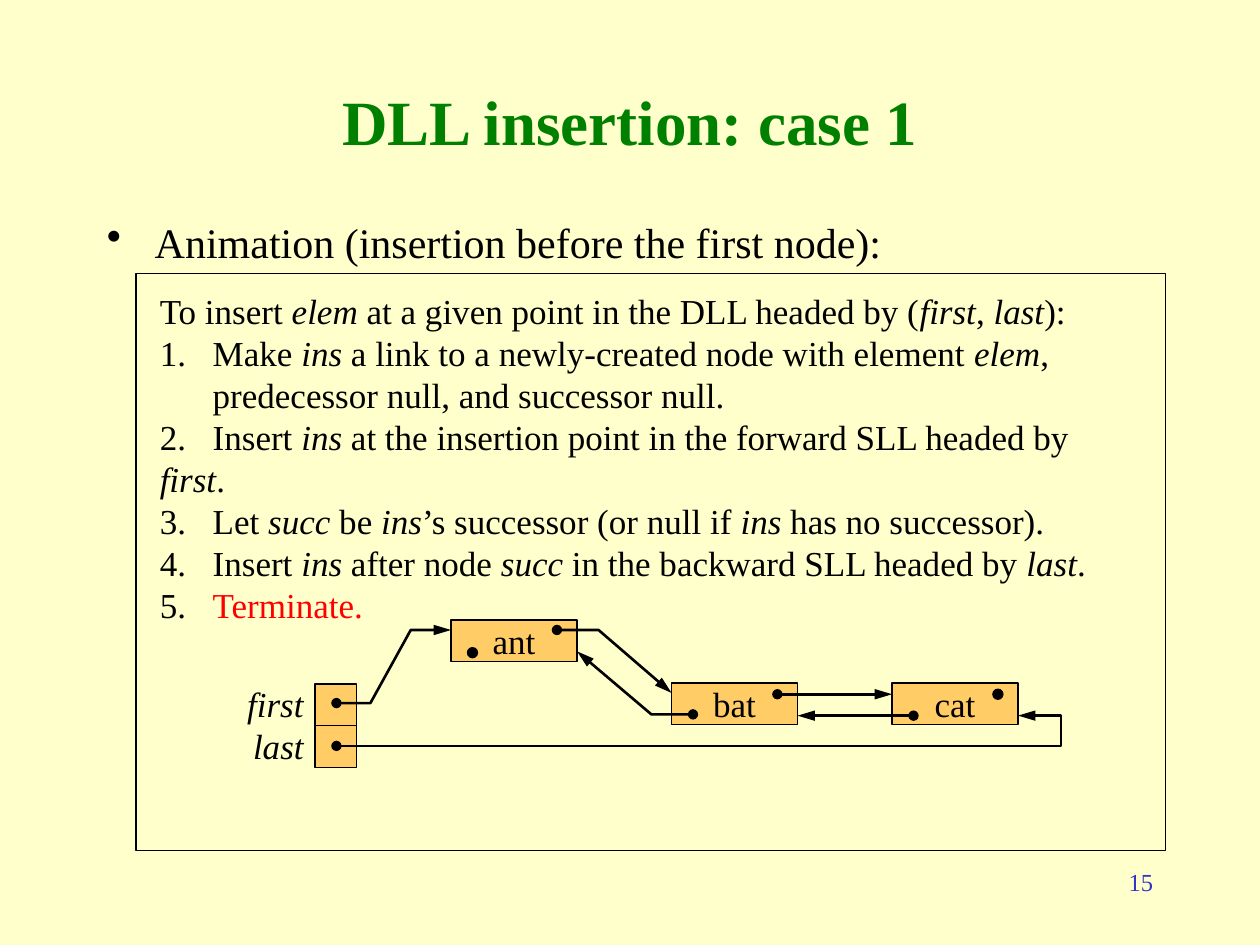
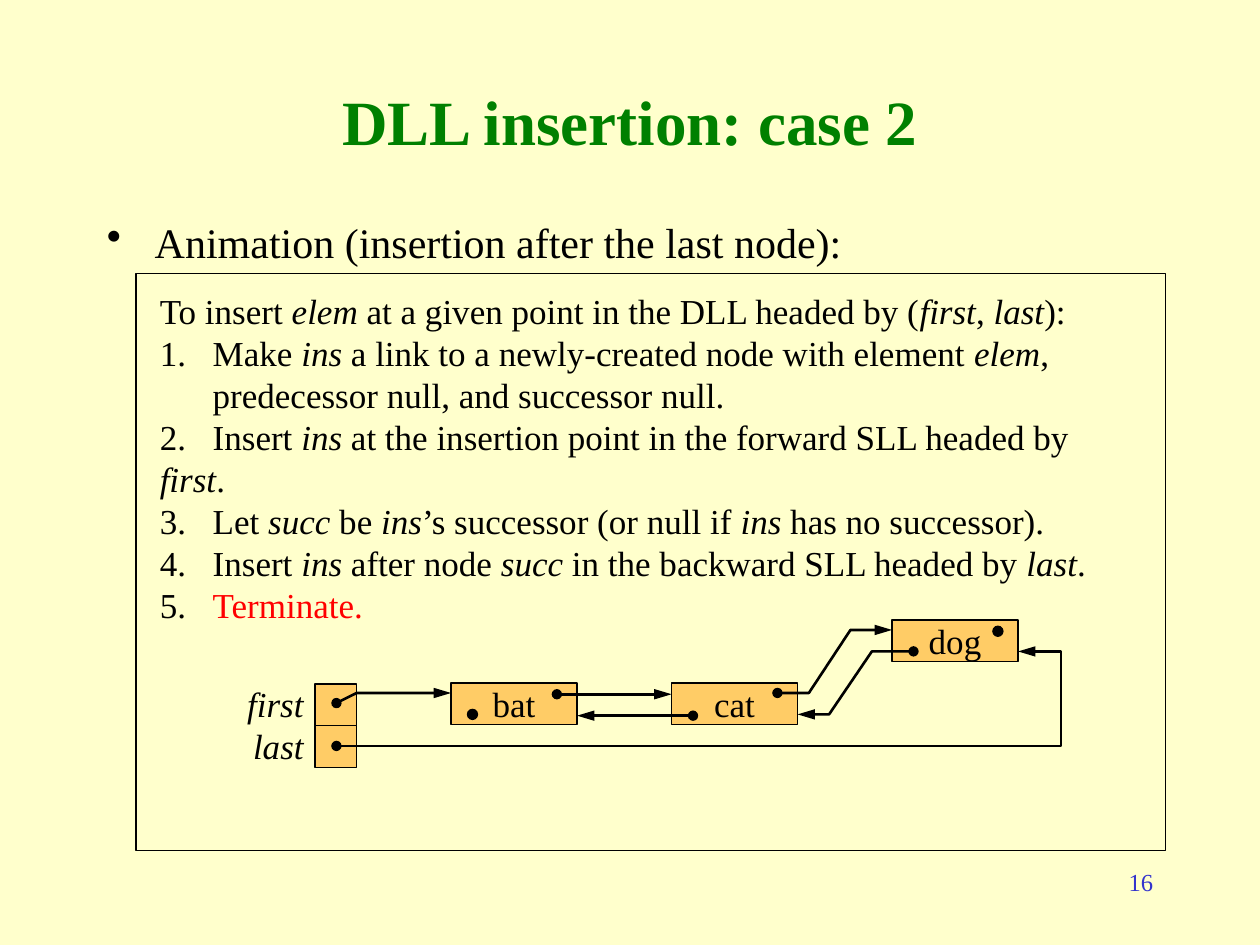
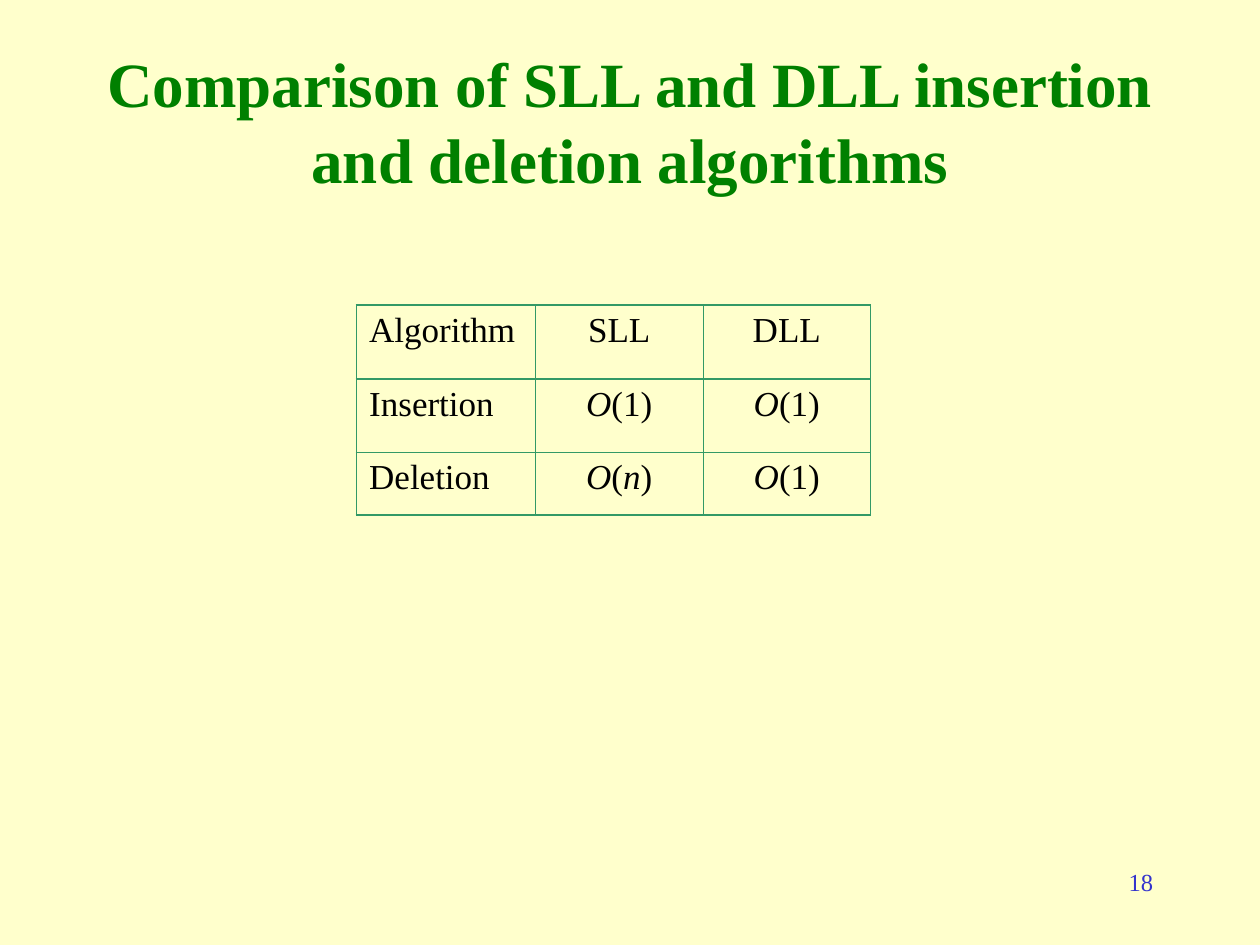
from lxml import etree
from pptx import Presentation
from pptx import util as u
from pptx.dml.color import RGBColor
from pptx.enum import shapes, text
from pptx.oxml import ns

Inches, Pt = u.Inches, u.Pt
LEFT, CENTER, RIGHT = text.PP_ALIGN.LEFT, text.PP_ALIGN.CENTER, text.PP_ALIGN.RIGHT

COLOURS = {
    "paper": "FFFFCC", "title": "008000", "ink": "000000", "number": "3333CC",
    "node": "FFCC66", "current": "FF0000", "grid": "339966",
}
FONT = "Times New Roman"
CELL = 0.33                 # height of nodes and of the first/last cells
NODE_LEFT, NODE_PITCH = 3.58, 1.75
UPPER, LOWER = 4.92, 5.42   # the two levels of nodes
STEP_INDENT = 0.42

# Text between asterisks is italic
INTRO = "To insert *elem* at a given point in the DLL headed by (*first*, *last*):"
STEPS = [
    "Make *ins* a link to a newly-created node with element *elem*, "
    "predecessor null, and successor null.",
    "Insert *ins* at the insertion point in the forward SLL headed by *first*.",
    "Let *succ* be *ins*’s successor (or null if *ins* has no successor).",
    "Insert *ins* after node *succ* in the backward SLL headed by *last*.",
    "Terminate.",
]
FLUSH_STEP = 2              # wraps back to the left margin
CURRENT_STEP = 5


def colour(name):
    return RGBColor.from_string(COLOURS[name])


def add_xml(parent, tag, **attributes):
    return etree.SubElement(parent, ns.qn(tag), attributes)


class Deck:
    def __init__(self):
        self.prs = Presentation()
        self.prs.slide_width, self.prs.slide_height = Inches(10), Inches(7.5)
        fill = self.prs.slide_master.background.fill
        fill.solid()
        fill.fore_color.rgb = colour("paper")
        self.slide = None

    def runs(self, paragraph, content, size=20, ink="ink", bold=False):
        for i, part in enumerate(content.split("*")):
            if part:
                run = paragraph.add_run()
                run.text = part
                run.font.name, run.font.size = FONT, Pt(size)
                run.font.bold, run.font.italic = bold, i % 2 == 1
                run.font.color.rgb = colour(ink)

    def new_slide(self, title, number):
        self.slide = self.prs.slides.add_slide(self.prs.slide_layouts[5])
        heading = self.slide.shapes.title
        heading.left, heading.top = Inches(0.75), Inches(0.58)
        heading.width, heading.height = Inches(8.5), Inches(0.75)
        frame = heading.text_frame
        frame.auto_size = text.MSO_AUTO_SIZE.NONE
        frame.vertical_anchor = text.MSO_ANCHOR.MIDDLE
        frame.paragraphs[0].alignment = CENTER
        self.runs(frame.paragraphs[0], title, 36, "title", bold=True)
        self.textbox((7.17, 6.83, 2.08, 0.5), str(number), RIGHT, size=14, ink="number")

    def textbox(self, box, content="", align=LEFT, inset=True, **style):
        frame = self.slide.shapes.add_textbox(*map(Inches, box)).text_frame
        frame.word_wrap = True
        if not inset:
            self.no_insets(frame)
        frame.paragraphs[0].alignment = align
        self.runs(frame.paragraphs[0], content, **style)
        return frame

    def no_insets(self, frame):
        frame.margin_left = frame.margin_right = frame.margin_top = frame.margin_bottom = 0

    def bullet(self, content):
        paragraph = self.textbox((0.75, 1.67, 8.5, 0.5)).paragraphs[0]
        properties = paragraph._p.get_or_add_pPr()
        self.indent(properties, 0.38)
        add_xml(properties, "a:buChar", char="•")
        self.runs(paragraph, content, 24)

    def indent(self, properties, hang):
        properties.set("marL", str(Inches(hang)))
        properties.set("indent", str(-Inches(hang)))

    def shape(self, kind, box, fill, label=""):
        item = self.slide.shapes.add_shape(kind, *map(Inches, box))
        item.shadow.inherit = False
        item.fill.solid()
        item.fill.fore_color.rgb = colour(fill)
        item.line.color.rgb = colour("ink")
        item.line.width = Pt(0.75)
        if label:
            self.no_insets(item.text_frame)
            item.text_frame.paragraphs[0].alignment = CENTER
            self.runs(item.text_frame.paragraphs[0], label)

    def rectangle(self, box, fill="node", label=""):
        self.shape(shapes.MSO_SHAPE.RECTANGLE, box, fill, label)

    def node(self, label, column, top):
        self.rectangle((NODE_LEFT + column * NODE_PITCH, top, 1, CELL), label=label)

    def null_link(self, x, y, size=0.08):
        box = (x - size / 2, y - size / 2, size, size)
        self.shape(shapes.MSO_SHAPE.OVAL, box, "ink")

    def link(self, *points):
        """Line through the points, with a dot at its start and an arrow at its end."""
        points = [(Inches(x), Inches(y)) for x, y in points]
        if len(points) == 2:
            line = self.slide.shapes.add_connector(
                shapes.MSO_CONNECTOR.STRAIGHT, *points[0], *points[1])
            add_xml(line._element.spPr, "a:effectLst")
        else:
            builder = self.slide.shapes.build_freeform(*points[0])
            builder.add_line_segments(points[1:], close=False)
            line = builder.convert_to_shape()
            line.fill.background()
            line.shadow.inherit = False
        line.line.color.rgb = colour("ink")
        line.line.width = Pt(1.5)
        stroke = line.line._get_or_add_ln()
        add_xml(stroke, "a:headEnd", type="oval", w="med", len="med")
        add_xml(stroke, "a:tailEnd", type="triangle", w="med", len="lg")

    def steps(self):
        frame = self.textbox((1.17, 2.25, 8, 2.77), INTRO)
        for number, step in enumerate(STEPS, 1):
            paragraph = frame.add_paragraph()
            properties = paragraph._p.get_or_add_pPr()
            if number != FLUSH_STEP:
                self.indent(properties, STEP_INDENT)
            tabs = add_xml(properties, "a:tabLst")
            add_xml(tabs, "a:tab", pos=str(Inches(STEP_INDENT)), algn="l")
            self.runs(paragraph, f"{number}.\t")
            self.runs(paragraph, step, ink="current" if number == CURRENT_STEP else "ink")

    def insertion(self, case, number, caption, nodes, nulls, links, last_y):
        self.new_slide(f"DLL insertion: case {case}", number)
        self.bullet(caption)
        self.rectangle((1.08, 2.17, 8.17, 4.58), "paper")
        self.steps()
        # List header
        for i, name in enumerate(("first", "last")):
            self.rectangle((2.5, 5.43 + i * CELL, CELL, CELL))
            self.textbox((1.83, LOWER + i * CELL, 0.58, CELL), f"*{name}*", RIGHT, inset=False)
        # Nodes and their links
        for node in nodes:
            self.node(*node)
        for null in nulls:
            self.null_link(*null)
        for points in links:
            self.link(*points)
        self.link((2.67, 5.92), (8.42, 5.92), (8.42, last_y), (8.08, last_y))

    def table(self, left, top, widths, heights, rows):
        table = self.slide.shapes.add_table(
            len(rows), len(widths), Inches(left), Inches(top),
            Inches(sum(widths)), Inches(sum(heights))).table
        table.first_row = table.horz_banding = False
        for column, width in zip(table.columns, widths):
            column.width = Inches(width)
        for r, row in enumerate(rows):
            table.rows[r].height = Inches(heights[r])
            for c, content in enumerate(row):
                cell = table.cell(r, c)
                paragraph = cell.text_frame.paragraphs[0]
                paragraph.alignment = CENTER if c else LEFT
                self.runs(paragraph, content)
                self.borders(cell, r, c)
                cell.fill.background()

    def borders(self, cell, r, c):
        """Thin rule between the data rows and data columns, heavier ones elsewhere."""
        properties = cell._tc.get_or_add_tcPr()
        for side, edge in (("L", c), ("R", c + 1), ("T", r), ("B", r + 1)):
            width = Pt(0.45 if edge == 2 else 1.08)
            line = add_xml(properties, f"a:ln{side}", w=str(width))
            add_xml(add_xml(line, "a:solidFill"), "a:srgbClr", val=COLOURS["grid"])


def main():
    deck = Deck()

    # Insertion before the first node
    deck.insertion(
        1, 15, "Animation (insertion before the first node):",
        nodes=[("ant", 0, UPPER), ("bat", 1, LOWER), ("cat", 2, LOWER)],
        nulls=[(3.75, 5.18), (7.92, 5.51)],
        links=[
            [(6.17, 5.51), (7.08, 5.51)],
            [(7.25, 5.68), (6.33, 5.68)],
            [(4.42, 5), (4.75, 5), (5.33, 5.5)],
            [(2.67, 5.58), (2.94, 5.58), (3.26, 5), (3.58, 5)],
            [(5.5, 5.67), (5.17, 5.67), (4.58, 5.17)],
        ],
        last_y=5.68)

    # Insertion after the last node
    deck.insertion(
        2, 16, "Animation (insertion after the last node):",
        nodes=[("dog", 2, UPPER), ("bat", 0, LOWER), ("cat", 1, LOWER)],
        nulls=[(7.92, 5.01), (3.75, 5.67)],
        links=[
            [(4.42, 5.51), (5.33, 5.51)],
            [(5.5, 5.68), (4.58, 5.68)],
            [(2.67, 5.58), (2.83, 5.5), (3.58, 5.5)],
            [(6.17, 5.5), (6.42, 5.5), (6.75, 5), (7.08, 5)],
            [(7.25, 5.17), (6.92, 5.17), (6.58, 5.67), (6.33, 5.67)],
        ],
        last_y=5.17)

    # Comparison
    deck.new_slide("Comparison of SLL and DLL insertion and deletion algorithms", 18)
    deck.table(2.83, 2.42, [1.42, 1.33, 1.33], [0.59, 0.58, 0.5], [
        ["Algorithm", "SLL", "DLL"],
        ["Insertion", "*O*(1)", "*O*(1)"],
        ["Deletion", "*O*(*n*)", "*O*(1)"],
    ])

    deck.prs.save("out.pptx")


if __name__ == "__main__":
    main()
